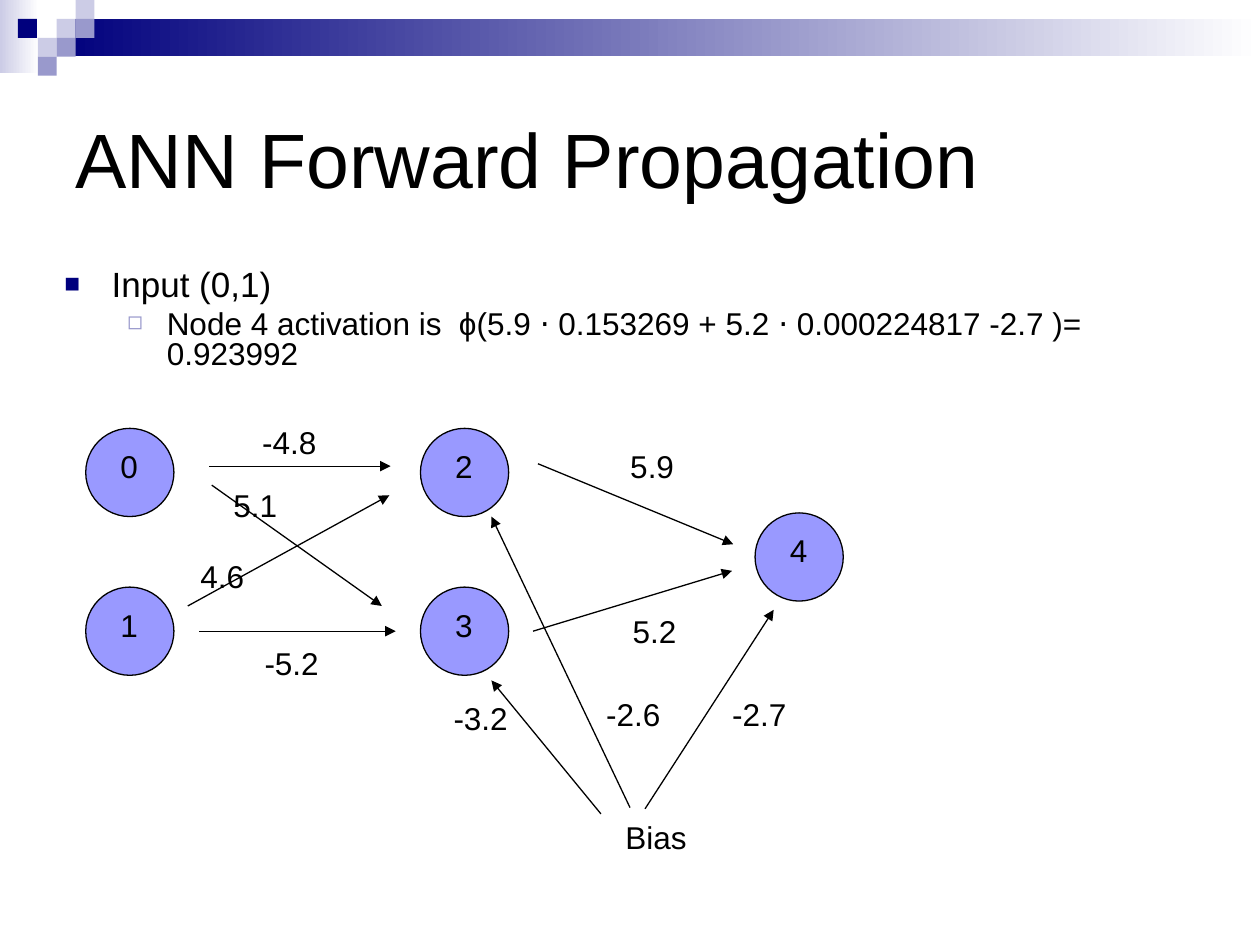
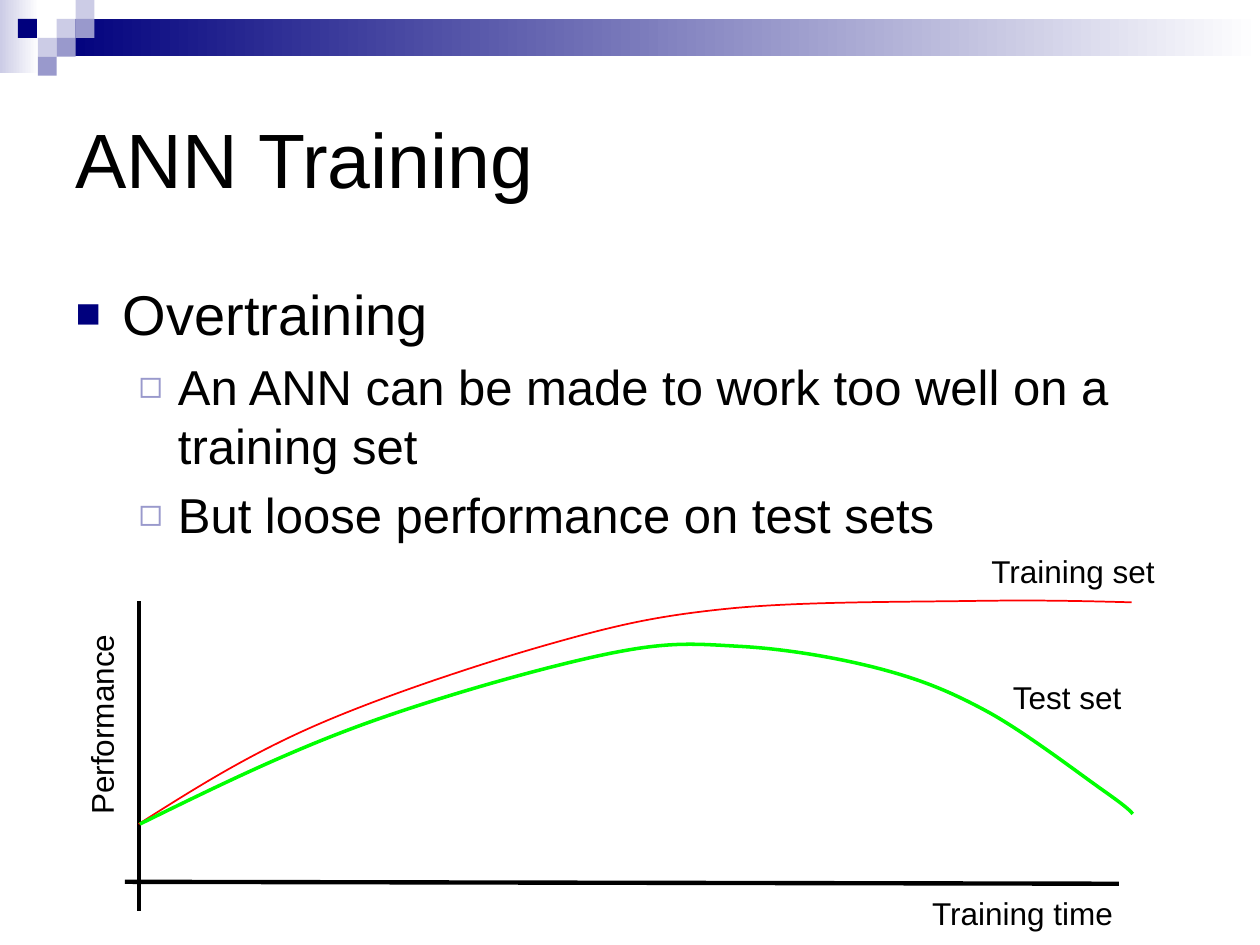
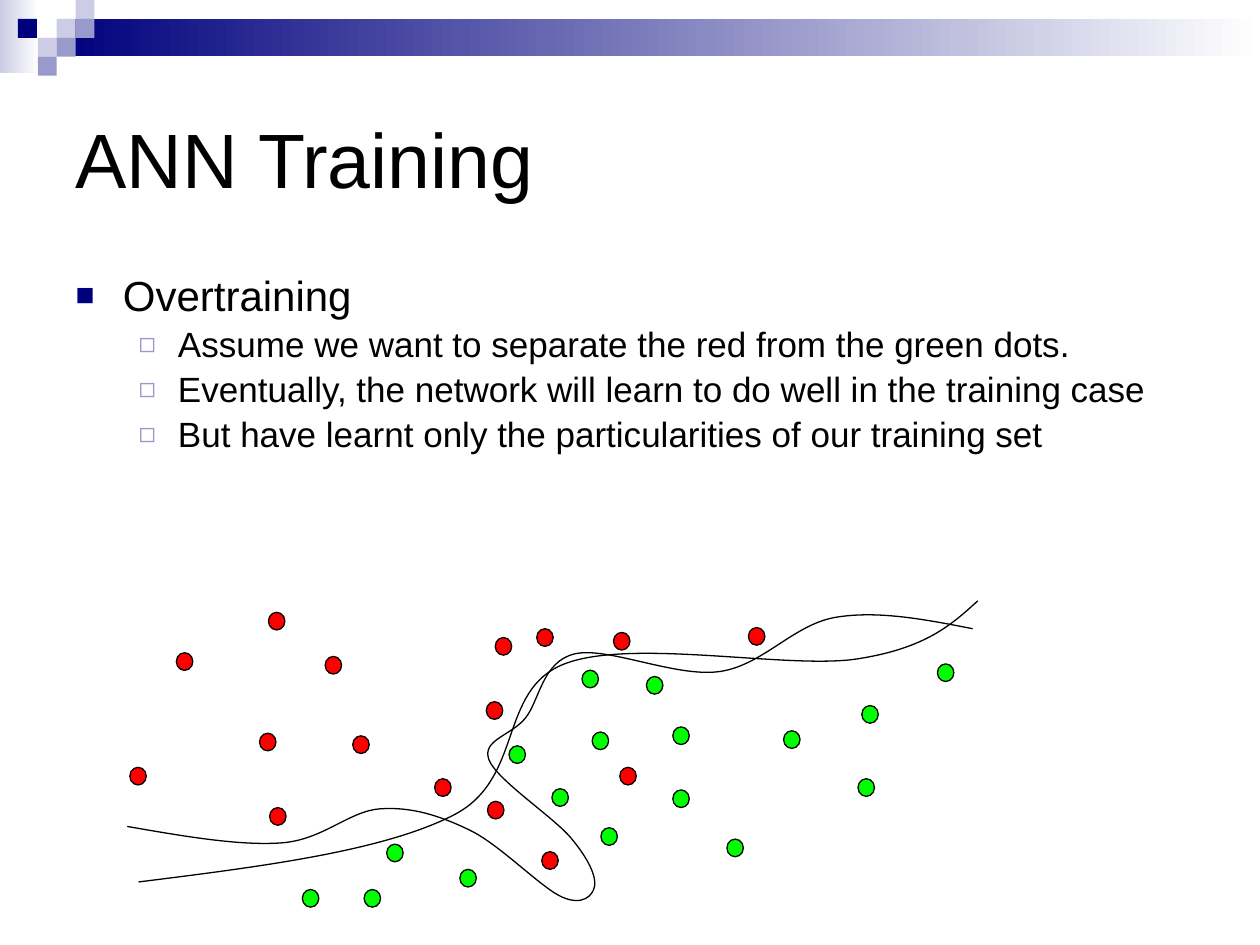
import dataclasses
import itertools

import lxml.etree
import pptx
import pptx.dml.color
import pptx.enum.shapes
import pptx.enum.text
import pptx.oxml.ns
import pptx.presentation
import pptx.shapes.base
import pptx.slide
import pptx.text.text
import pptx.util

FONT = "Arial"
BLACK, WHITE = "000000", "FFFFFF"
NAVY, LILAC, PALE = "00007D", "9999CC", "CCCCE6"
NODE, RED, GREEN = "9999FF", "FF0000", "00FF00"
RECT = pptx.enum.shapes.MSO_SHAPE.RECTANGLE
OVAL = pptx.enum.shapes.MSO_SHAPE.OVAL
LEFT = pptx.enum.text.PP_ALIGN.LEFT
CENTER = pptx.enum.text.PP_ALIGN.CENTER
Pt = pptx.util.Pt
Point = tuple[float, float]

TILE = 10.8
NODE_SIZE = 50.4
DOT_SIZE = (9.4, 10.1)
LINE_HIGH = 28.8


@dataclasses.dataclass
class Box:
    left: float
    top: float
    width: float
    height: float


@dataclasses.dataclass
class Tile:
    column: float
    row: int
    fill: str


@dataclasses.dataclass
class Bullet:
    sign: str
    fill: str
    size: int
    margin: float
    indent: float


@dataclasses.dataclass
class Item:
    level: int
    text: str
    size: float


@dataclasses.dataclass
class Label:
    text: str
    left: float
    top: float
    width: float = 85.7
    align: pptx.enum.text.PP_ALIGN = CENTER
    turn: float = 0


@dataclasses.dataclass
class Line:
    start: Point
    end: Point
    weight: float = 0.75
    arrow: bool = True


@dataclasses.dataclass
class Curve:
    knots: list[Point]
    fill: str = BLACK
    weight: float = 0.75


TILES = [
    Tile(3, 1, PALE), Tile(4, 0, PALE), Tile(4, 1, LILAC), Tile(2, 2, PALE),
    Tile(0.95, 1, NAVY), Tile(3, 2, LILAC), Tile(2, 3, LILAC),
]
BULLETS = [
    Bullet("■", NAVY, 75, 27, -27),
    Bullet("◻", LILAC, 80, 58.5, -22.5),
]

NODES = [(49, 244.8), (49, 335.5), (240.3, 244.8), (240.3, 335.5), (431.5, 293.1)]
WEIGHTS = [
    Label("-4.8", 122.4, 238.3), Label("-5.2", 123.8, 364.3),
    Label("4.6", 84.2, 314.6), Label("5.1", 103, 274.3),
    Label("5.9", 329.8, 252), Label("5.2", 331.2, 346.3),
    Label("-2.7", 391, 393.8), Label("-2.6", 319, 393.8),
    Label("-3.2", 231.8, 396), Label("Bias", 326.2, 463.7, 97.2),
]
ARROWS = [
    Line((119.5, 266.4), (223.2, 266.4)), Line((113.8, 360.7), (226.1, 360.7)),
    Line((107.3, 346.3), (222.5, 283)), Line((121, 277.2), (218.2, 346.3)),
    Line((307.4, 265), (419, 311)), Line((304.6, 360.7), (418.3, 326.2)),
    Line((343.4, 465.1), (280.8, 388.8)), Line((360, 461.5), (280.8, 295.2)),
    Line((368.6, 462.2), (442.1, 348.5)),
]

AXES = [
    Line((79.4, 343.6), (79.4, 520.6), 2.5, False),
    Line((71.3, 503.9), (639.4, 505), 2.5, False),
]
SCORES = [
    Curve([(79.2, 470.9), (180, 414.7), (314.6, 367.9), (416.2, 347.8),
           (555.8, 343.4), (646.6, 344.2)], RED, 1),
    Curve([(79.9, 470.9), (207.4, 414), (347, 373.7), (423.4, 369.4),
           (503.3, 382.3), (564.5, 406.8), (630, 451.4), (647.3, 465.1)], GREEN, 2),
]
CAPTIONS = [
    Label("Training set", 559.4, 311.8, 111.6, LEFT),
    Label("Test set", 571.7, 383.8, 111.6, LEFT),
    Label("Performance", -4.3, 396, 124.6, LEFT, 270),
    Label("Training time", 525.6, 507.6, 149, LEFT),
]

DOTS = {
    RED: [
        (100.8, 373), (153.4, 349.9), (185.8, 375.1), (74.2, 438.5),
        (201.6, 420.5), (354.2, 438.5), (148.3, 419), (306.7, 359.3),
        (283, 364.3), (427.7, 358.6), (309.6, 486.7), (154.1, 461.5),
        (248.4, 445), (277.9, 401), (350.6, 361.4), (278.6, 457.9),
    ],
    GREEN: [
        (290.9, 426.2), (221, 482.4), (369.4, 386.6), (447.8, 417.6),
        (384.5, 451.4), (262.8, 496.8), (384.5, 415.4), (315.4, 450.7),
        (332.6, 383), (535.7, 379.4), (415.4, 479.5), (343.4, 473),
        (172.8, 508.3), (492.5, 403.2), (490.3, 445), (208.1, 508.3),
        (338.4, 418.3),
    ],
}
BORDERS = [
    Curve([(79.2, 504), (259.2, 465.8), (322.6, 379.4), (489.6, 376.6),
           (558.7, 343.4)]),
    Curve([(72.7, 472.3), (160.6, 481.7), (217.4, 462.2), (268.6, 474.5),
           (321.1, 512.6), (339.8, 506.2), (326.2, 478.8), (279.4, 434.2),
           (300.2, 410.4), (328.3, 373.7), (411.1, 383.8), (477.4, 352.8),
           (555.8, 359.3)]),
]


def paint(code: str) -> pptx.dml.color.RGBColor:
    return pptx.dml.color.RGBColor.from_string(code)


def add_child(parent: lxml.etree._Element, tag: str, **values: str) -> lxml.etree._Element:
    return lxml.etree.SubElement(parent, pptx.oxml.ns.qn(tag), **values)


def place(shape: pptx.shapes.base.BaseShape, box: Box) -> None:
    shape.left, shape.top = Pt(box.left), Pt(box.top)
    shape.width, shape.height = Pt(box.width), Pt(box.height)


def style_runs(line: pptx.text.text._Paragraph, size: float) -> None:
    for run in line.runs:
        run.font.name = FONT
        run.font.size = Pt(size)
        run.font.color.rgb = paint(BLACK)


def draw_shape(slide: pptx.slide.Slide, kind: pptx.enum.shapes.MSO_SHAPE, box: Box,
               fills: list[str], edge: bool = False) -> pptx.shapes.base.BaseShape:
    shape = slide.shapes.add_shape(
        kind, Pt(box.left), Pt(box.top), Pt(box.width), Pt(box.height))
    shape.shadow.inherit = False
    if len(fills) == 1:
        shape.fill.solid()
        shape.fill.fore_color.rgb = paint(fills[0])
    else:
        shape.fill.gradient()
        shape.fill.gradient_angle = 0
        for stop, code in zip(shape.fill.gradient_stops, fills):
            stop.color.rgb = paint(code)
    if edge:
        shape.line.color.rgb = paint(BLACK)
        shape.line.width = Pt(0.75)
    else:
        shape.line.fill.background()
    return shape


def draw_label(slide: pptx.slide.Slide, label: Label) -> None:
    shape = slide.shapes.add_textbox(
        Pt(label.left), Pt(label.top), Pt(label.width), Pt(LINE_HIGH))
    shape.rotation = label.turn
    frame = shape.text_frame
    frame.word_wrap = True
    frame.text = label.text
    frame.paragraphs[0].alignment = label.align
    style_runs(frame.paragraphs[0], 18)


def draw_line(slide: pptx.slide.Slide, line: Line) -> None:
    shape = slide.shapes.add_connector(
        pptx.enum.shapes.MSO_CONNECTOR.STRAIGHT,
        *(Pt(value) for value in line.start + line.end))
    shape.line.color.rgb = paint(BLACK)
    shape.line.width = Pt(line.weight)
    if line.arrow:
        add_child(shape.element.spPr.get_or_add_ln(), "a:tailEnd", type="triangle")
    add_child(shape.element.spPr, "a:effectLst")


def trace(knots: list[Point]) -> list[Point]:
    last = len(knots) - 1
    slopes = [
        tuple((b - a) / 6 for a, b in zip(knots[max(i - 1, 0)], knots[min(i + 1, last)]))
        for i in range(last + 1)
    ]
    points = [knots[0]]
    for i, (start, end) in enumerate(itertools.pairwise(knots)):
        first = tuple(a + s for a, s in zip(start, slopes[i]))
        second = tuple(b - s for b, s in zip(end, slopes[i + 1]))
        if i == 0:
            first = tuple((a + b) / 2 for a, b in zip(start, second))
        if i == last - 1:
            second = tuple((a + b) / 2 for a, b in zip(first, end))
        points += [first, second, end]
    return points


def bend(shape: pptx.shapes.base.BaseShape) -> None:
    sides = list(shape.element.iter(pptx.oxml.ns.qn("a:lnTo")))
    for first, second, end in zip(sides[::3], sides[1::3], sides[2::3]):
        first.tag = pptx.oxml.ns.qn("a:cubicBezTo")
        for side in (second, end):
            first.append(side[0])
            side.getparent().remove(side)


def draw_curve(slide: pptx.slide.Slide, curve: Curve) -> None:
    points = [(Pt(x), Pt(y)) for x, y in trace(curve.knots)]
    form = slide.shapes.build_freeform(*points[0])
    form.add_line_segments(points[1:], close=False)
    shape = form.convert_to_shape()
    bend(shape)
    shape.shadow.inherit = False
    shape.fill.background()
    shape.line.color.rgb = paint(curve.fill)
    shape.line.width = Pt(curve.weight)


def set_bullet(line: pptx.text.text._Paragraph, bullet: Bullet) -> None:
    props = line._p.get_or_add_pPr()
    props.set("marL", str(Pt(bullet.margin)))
    props.set("indent", str(Pt(bullet.indent)))
    add_child(add_child(props, "a:buClr"), "a:srgbClr", val=bullet.fill)
    add_child(props, "a:buSzPct", val=str(bullet.size * 1000))
    add_child(props, "a:buFont", typeface=FONT)
    add_child(props, "a:buChar", char=bullet.sign)


def add_slide(deck: pptx.presentation.Presentation, title: str, box: Box,
              items: list[Item], spacing: float) -> pptx.slide.Slide:
    slide = deck.slides.add_slide(deck.slide_layouts[1])
    head, body = slide.placeholders
    place(head, Box(36, 36, 648, 108))
    place(body, box)
    head.text_frame.text = title
    head.text_frame.vertical_anchor = pptx.enum.text.MSO_ANCHOR.MIDDLE
    head.text_frame.paragraphs[0].alignment = LEFT
    style_runs(head.text_frame.paragraphs[0], 44)
    body.text_frame.text = "\n".join(item.text for item in items)
    for line, item in zip(body.text_frame.paragraphs, items):
        line.level = item.level
        line.line_spacing = spacing
        set_bullet(line, BULLETS[item.level])
        style_runs(line, item.size)
    for shape in (head, body):
        shape.text_frame.auto_size = pptx.enum.text.MSO_AUTO_SIZE.NONE
    return slide


def dress_master(deck: pptx.presentation.Presentation, slide: pptx.slide.Slide) -> None:
    shapes = [
        draw_shape(slide, RECT, Box(0, 0, 22.3, 41.8), [PALE, WHITE]),
        draw_shape(slide, RECT, Box(32.4, TILE, 687.6, 21.4), [NAVY, WHITE]),
    ]
    for tile in TILES:
        box = Box(tile.column * TILE, tile.row * TILE, TILE, TILE)
        shapes.append(draw_shape(slide, RECT, box, [tile.fill]))
    tree = deck.slide_master.element.cSld.spTree
    for rank, shape in enumerate(shapes, 2):
        tree.insert(rank, shape.element)


def add_network(deck: pptx.presentation.Presentation) -> pptx.slide.Slide:
    slide = add_slide(deck, "ANN Forward Propagation", Box(29.6, 151.2, 648, 73.4), [
        Item(0, "Input (0,1)", 20),
        Item(1, "Node 4 activation is  ϕ(5.9 ⋅ 0.153269 + 5.2 ⋅ 0.000224817 -2.7 )= 0.923992", 18),
    ], 0.8)
    for number, (left, top) in enumerate(NODES):
        draw_shape(slide, OVAL, Box(left, top, NODE_SIZE, NODE_SIZE), [NODE], True)
        draw_label(slide, Label(str(number), left + 7.2, top + 7, 35.3))
    for arrow in ARROWS:
        draw_line(slide, arrow)
    for label in WEIGHTS:
        draw_label(slide, label)
    return slide


def add_scores(deck: pptx.presentation.Presentation) -> None:
    slide = add_slide(deck, "ANN Training", Box(36, 156.1, 648, 198), [
        Item(0, "Overtraining", 32),
        Item(1, "An ANN can be made to work too well on a training set", 28),
        Item(1, "But loose performance on test sets", 28),
    ], 1.0)
    for axis in AXES:
        draw_line(slide, axis)
    for curve in SCORES:
        draw_curve(slide, curve)
    for label in CAPTIONS:
        draw_label(slide, label)


def add_dots(deck: pptx.presentation.Presentation) -> None:
    slide = add_slide(deck, "ANN Training", Box(36, 153.5, 648, 136.1), [
        Item(0, "Overtraining", 24),
        Item(1, "Assume we want to separate the red from the green dots.", 20),
        Item(1, "Eventually, the network will learn to do well in the training case", 20),
        Item(1, "But have learnt only the particularities of our training set", 20),
    ], 0.9)
    for curve in BORDERS:
        draw_curve(slide, curve)
    for code, spots in DOTS.items():
        for spot in spots:
            draw_shape(slide, OVAL, Box(*spot, *DOT_SIZE), [code], True)


def main() -> None:
    deck = pptx.Presentation()
    deck.slide_width, deck.slide_height = Pt(720), Pt(540)
    dress_master(deck, add_network(deck))
    add_scores(deck)
    add_dots(deck)
    deck.save("out.pptx")


if __name__ == "__main__":
    main()
